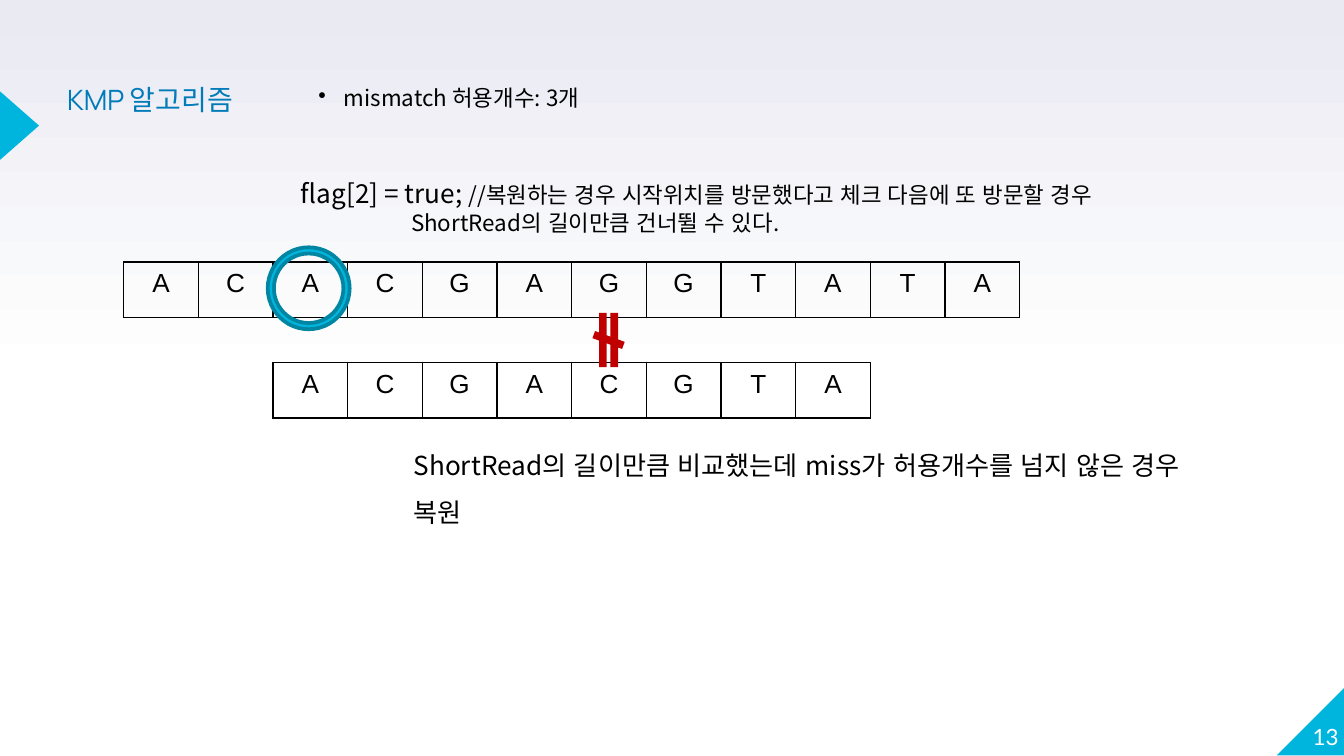
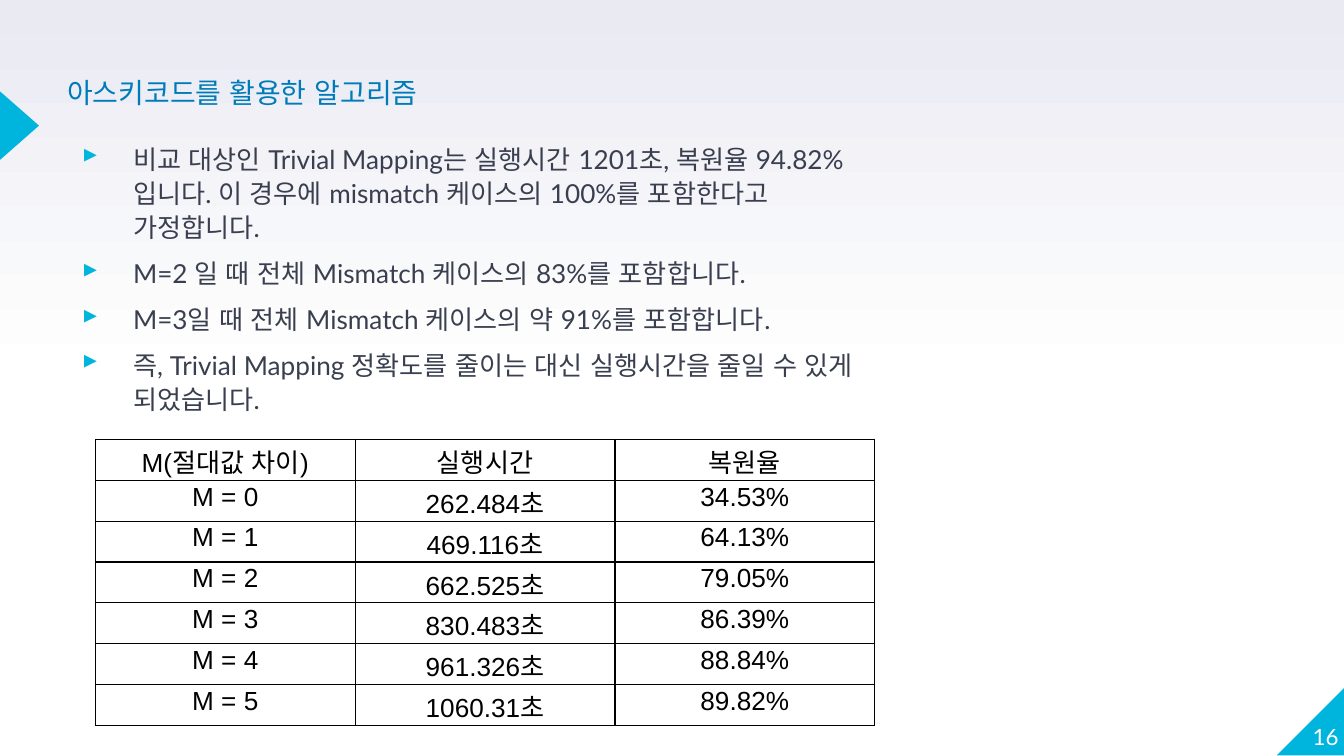
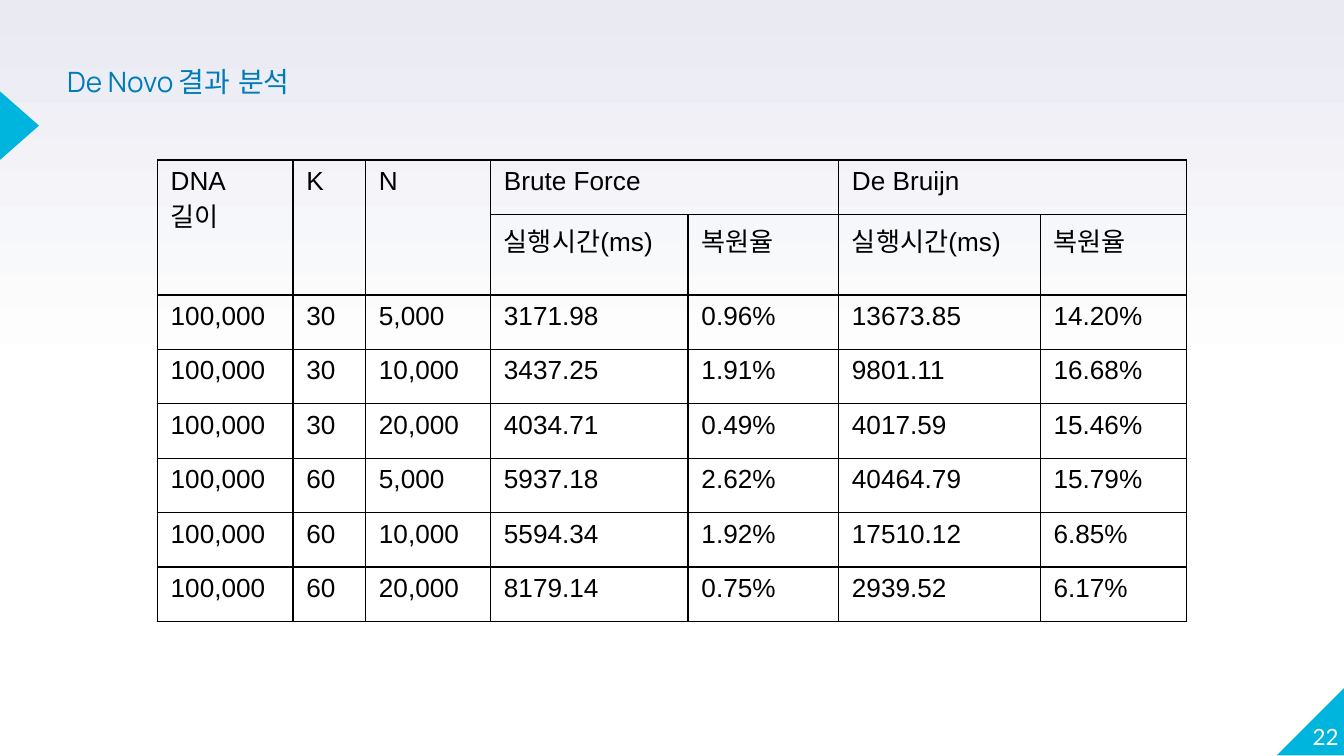
import pptx
import pptx.dml.color
import pptx.enum.lang
import pptx.enum.shapes
import pptx.enum.text
import pptx.oxml
import pptx.oxml.ns
import pptx.util
from lxml import etree

Inches = pptx.util.Inches
Pt = pptx.util.Pt
RGBColor = pptx.dml.color.RGBColor
MSO_SHAPE = pptx.enum.shapes.MSO_SHAPE
MSO_ANCHOR = pptx.enum.text.MSO_ANCHOR
PP_ALIGN = pptx.enum.text.PP_ALIGN
KOREAN = pptx.enum.lang.MSO_LANGUAGE_ID.KOREAN
qn = pptx.oxml.ns.qn

CYAN = RGBColor(0x00, 0xB5, 0xDD)
DARK_CYAN = RGBColor(0x00, 0x86, 0xA3)
TITLE_BLUE = RGBColor(0x00, 0x7B, 0xB9)
SLATE = RGBColor(0x3A, 0x3F, 0x50)
LAVENDER = RGBColor(0xE9, 0xEA, 0xF2)
RED = RGBColor(0xC0, 0x00, 0x00)
BLACK = RGBColor(0x00, 0x00, 0x00)
WHITE = RGBColor(0xFF, 0xFF, 0xFF)

KOREAN_FONT = "Noto Sans CJK KR"
BODY_FONT = "Lato"
TITLE_FONT = "Manrope"
TABLE_FONT = "Arial"

SLIDE_WIDTH = 10
SLIDE_HEIGHT = SLIDE_WIDTH * 9 / 16
TITLE_ONLY = 5
BASE_SEQUENCE = "ACACGAGGTATA"
SHORT_READ = "ACGACGTA"
READ_START = 2
MISMATCH = 6
BASE_WIDTH = 6.67 / len(BASE_SEQUENCE)

FINDINGS = [
    "비교 대상인 Trivial Mapping는 실행시간 1201초, 복원율 94.82%입니다. "
    "이 경우에 mismatch 케이스의 100%를 포함한다고 가정합니다.",
    "M=2 일 때 전체 Mismatch 케이스의 83%를 포함합니다.",
    "M=3일 때 전체 Mismatch 케이스의 약 91%를 포함합니다.",
    "즉, Trivial Mapping 정확도를 줄이는 대신 실행시간을 줄일 수 있게 되었습니다.",
]
MAPPING_RESULTS = [
    ["M(절대값 차이)", "실행시간", "복원율"],
    ["M = 0", "262.484초", "34.53%"],
    ["M = 1", "469.116초", "64.13%"],
    ["M = 2", "662.525초", "79.05%"],
    ["M = 3", "830.483초", "86.39%"],
    ["M = 4", "961.326초", "88.84%"],
    ["M = 5", "1060.31초", "89.82%"],
]
DE_NOVO_RESULTS = [
    ["DNA\n길이", "K", "N", "Brute Force", "", "De Bruijn", ""],
    ["", "", "", "실행시간(ms)", "복원율", "실행시간(ms)", "복원율"],
    ["100,000", "30", "5,000", "3171.98", "0.96%", "13673.85", "14.20%"],
    ["100,000", "30", "10,000", "3437.25", "1.91%", "9801.11", "16.68%"],
    ["100,000", "30", "20,000", "4034.71", "0.49%", "4017.59", "15.46%"],
    ["100,000", "60", "5,000", "5937.18", "2.62%", "40464.79", "15.79%"],
    ["100,000", "60", "10,000", "5594.34", "1.92%", "17510.12", "6.85%"],
    ["100,000", "60", "20,000", "8179.14", "0.75%", "2939.52", "6.17%"],
]


def style_runs(paragraph, size, font, color):
    for run in paragraph.runs:
        run.font.size = Pt(size)
        run.font.name = font
        run.font.color.rgb = color
        run.font.language_id = KOREAN


def set_margins(holder, left=0, top=0, right=0, bottom=0):
    """Set the inner margins of a text frame or a table cell."""
    holder.margin_left, holder.margin_top = Inches(left), Inches(top)
    holder.margin_right, holder.margin_bottom = Inches(right), Inches(bottom)


def set_indent(paragraph, left, first=0, bullet=None, bullet_color=None):
    properties = paragraph._p.get_or_add_pPr()
    properties.set("marL", str(Inches(left)))
    properties.set("indent", str(Inches(first)))
    if bullet_color is not None:
        holder = etree.SubElement(properties, qn("a:buClr"))
        etree.SubElement(holder, qn("a:srgbClr"), val=str(bullet_color))
    if bullet:
        etree.SubElement(properties, qn("a:buChar"), char=bullet)


def add_text(slide, box, lines, size, font=KOREAN_FONT, color=BLACK):
    """Add a wrapping text box with one paragraph per line."""
    frame = slide.shapes.add_textbox(*map(Inches, box)).text_frame
    frame.word_wrap = True
    frame.text = "\n".join(lines)
    for paragraph in frame.paragraphs:
        style_runs(paragraph, size, font, color)
    return frame


def add_mark(slide, preset, box, color, rotation=0):
    mark = slide.shapes.add_shape(preset, *map(Inches, box))
    mark.shadow.inherit = False
    mark.rotation = rotation
    mark.fill.solid()
    mark.fill.fore_color.rgb = color
    mark.line.fill.background()
    return mark


def draw_borders(cell):
    properties = cell._tc.get_or_add_tcPr()
    for position, side in enumerate(("a:lnL", "a:lnR", "a:lnT", "a:lnB")):
        border = etree.Element(qn(side), w=str(Pt(0.75)))
        fill = etree.SubElement(border, qn("a:solidFill"))
        etree.SubElement(fill, qn("a:srgbClr"), val=str(BLACK))
        properties.insert(position, border)


def add_grid(slide, box, rows, align, widths=None, merges=()):
    """Add a bordered, unfilled table; merges lists pairs of corner cells."""
    grid = slide.shapes.add_table(len(rows), len(rows[0]), *map(Inches, box)).table
    grid.first_row = grid.horz_banding = False
    for column, width in zip(grid.columns, widths or []):
        column.width = Inches(width)
    for first, last in merges:
        grid.cell(*first).merge(grid.cell(*last))
    for r, row in enumerate(rows):
        for c, value in enumerate(row):
            cell = grid.cell(r, c)
            cell.fill.background()
            draw_borders(cell)
            cell.text = value
            for paragraph in cell.text_frame.paragraphs:
                paragraph.alignment = align
                style_runs(paragraph, 14, TABLE_FONT, BLACK)
    return grid


def start_slide(deck, title, title_box, number):
    """Add a slide with the shared background, bands, title and number."""
    slide = deck.slides.add_slide(deck.slide_layouts[TITLE_ONLY])
    fill = slide.background.fill
    fill.gradient()
    fill.gradient_angle = 90
    for stop, position, color in zip(fill.gradient_stops, (0.5, 1), (WHITE, LAVENDER)):
        stop.position = position
        stop.color.rgb = color

    add_mark(slide, MSO_SHAPE.RIGHT_TRIANGLE, (9.5, 5.11, 0.51, 0.51), CYAN, 270)
    add_mark(slide, MSO_SHAPE.ISOSCELES_TRIANGLE, (-0.11, 0.79, 0.51, 0.29), CYAN, 90)

    heading = slide.shapes.title
    heading.left, heading.top, heading.width, heading.height = map(Inches, title_box)
    frame = heading.text_frame
    frame.text = title
    frame.word_wrap = True
    frame.auto_size = pptx.enum.text.MSO_AUTO_SIZE.NONE
    frame.vertical_anchor = MSO_ANCHOR.TOP
    set_margins(frame)
    paragraph = frame.paragraphs[0]
    paragraph.alignment = PP_ALIGN.LEFT
    paragraph.line_spacing = 0.8
    style_runs(paragraph, 15, TITLE_FONT, TITLE_BLUE)

    page = add_text(slide, (9.46, 5.07, 0.5, 0.51), [number], 12, BODY_FONT, WHITE)
    set_margins(page)
    page.vertical_anchor = MSO_ANCHOR.BOTTOM
    page.paragraphs[0].alignment = PP_ALIGN.RIGHT
    return slide


def add_sequence(slide, left, top, bases):
    add_grid(slide, (left, top, BASE_WIDTH * len(bases), 0.41), [list(bases)],
             PP_ALIGN.CENTER)


def add_alignment(slide, left, top):
    """Draw the two sequences, the start ring and the mismatch sign."""
    read_left = left + READ_START * BASE_WIDTH
    add_sequence(slide, left, top, BASE_SEQUENCE)
    add_sequence(slide, read_left, top + 0.75, SHORT_READ)
    start_ring = add_mark(slide, MSO_SHAPE.DONUT,
                          (read_left - 0.04, top - 0.11, 0.61, 0.61), CYAN)
    start_ring.adjustments[0] = 0.076
    start_ring.line.color.rgb = DARK_CYAN
    start_ring.line.width = Pt(2)
    mismatch_center = left + (MISMATCH + 0.5) * BASE_WIDTH
    add_mark(slide, MSO_SHAPE.MATH_NOT_EQUAL,
             (mismatch_center - 0.28, top + 0.46, 0.55, 0.24), RED, 90)


def build_kmp_slide(deck):
    slide = start_slide(deck, "KMP 알고리즘", (0.5, 0.66, 1.84, 0.31), "13")
    add_alignment(slide, 0.92, 1.95)

    outcome = add_text(
        slide, (2.98, 3.18, 6.2, 0.76),
        ["ShortRead의 길이만큼 비교했는데 miss가 허용개수를 넘지 않은 경우 복원"], 14)
    outcome.paragraphs[0].line_spacing = 1.5

    limit = add_text(slide, (2.27, 0.58, 2.39, 0.3), ["mismatch 허용개수: 3개"], 12)
    set_indent(limit.paragraphs[0], 0.19, -0.19, "•")

    visit = add_text(slide, (2.14, 1.27, 6.72, 0.54),
                     ["flag[2] = true; ", "ShortRead의 길이만큼 건너뛸 수 있다."], 12)
    flag_line, skip_line = visit.paragraphs
    comment = flag_line.add_run()
    comment.text = "//복원하는 경우 시작위치를 방문했다고 체크 다음에 또 방문할 경우"
    style_runs(flag_line, 12, KOREAN_FONT, BLACK)
    flag_line.runs[0].font.size = Pt(14)
    set_indent(skip_line, 0.82)


def build_ascii_slide(deck):
    slide = start_slide(deck, "아스키코드를 활용한 알고리즘", (0.5, 0.61, 3.18, 0.32), "16")
    findings = add_text(slide, (0.49, 0.72, 6.17, 3.64), FINDINGS, 14, BODY_FONT, SLATE)
    set_margins(findings, top=0.32)
    for paragraph in findings.paragraphs:
        paragraph.line_spacing = 1.1
        paragraph.space_before = Pt(6)
        set_indent(paragraph, 0.5, -0.38, "▸", CYAN)

    grid = add_grid(slide, (0.71, 3.27, 5.8, 2.13), MAPPING_RESULTS, PP_ALIGN.CENTER)
    for cell in grid.iter_cells():
        set_margins(cell, left=0.07, right=0.07)
        cell.text_frame.paragraphs[0].line_spacing = 1.07


def build_de_novo_slide(deck):
    slide = start_slide(deck, "De Novo 결과 분석", (0.5, 0.53, 2.15, 0.44), "22")
    merges = [((0, column), (1, column)) for column in range(3)]
    merges += [((0, column), (0, column + 1)) for column in (3, 5)]
    grid = add_grid(slide, (1.17, 1.19, 7.66, 3.24), DE_NOVO_RESULTS, PP_ALIGN.LEFT,
                    (1.01, 0.54, 0.93, 1.47, 1.12, 1.5, 1.09), merges)
    grid.rows[1].height = Inches(0.6)


def main():
    deck = pptx.Presentation()
    deck.slide_width, deck.slide_height = Inches(SLIDE_WIDTH), Inches(SLIDE_HEIGHT)
    build_kmp_slide(deck)
    build_ascii_slide(deck)
    build_de_novo_slide(deck)
    deck.save("out.pptx")


if __name__ == "__main__":
    main()
